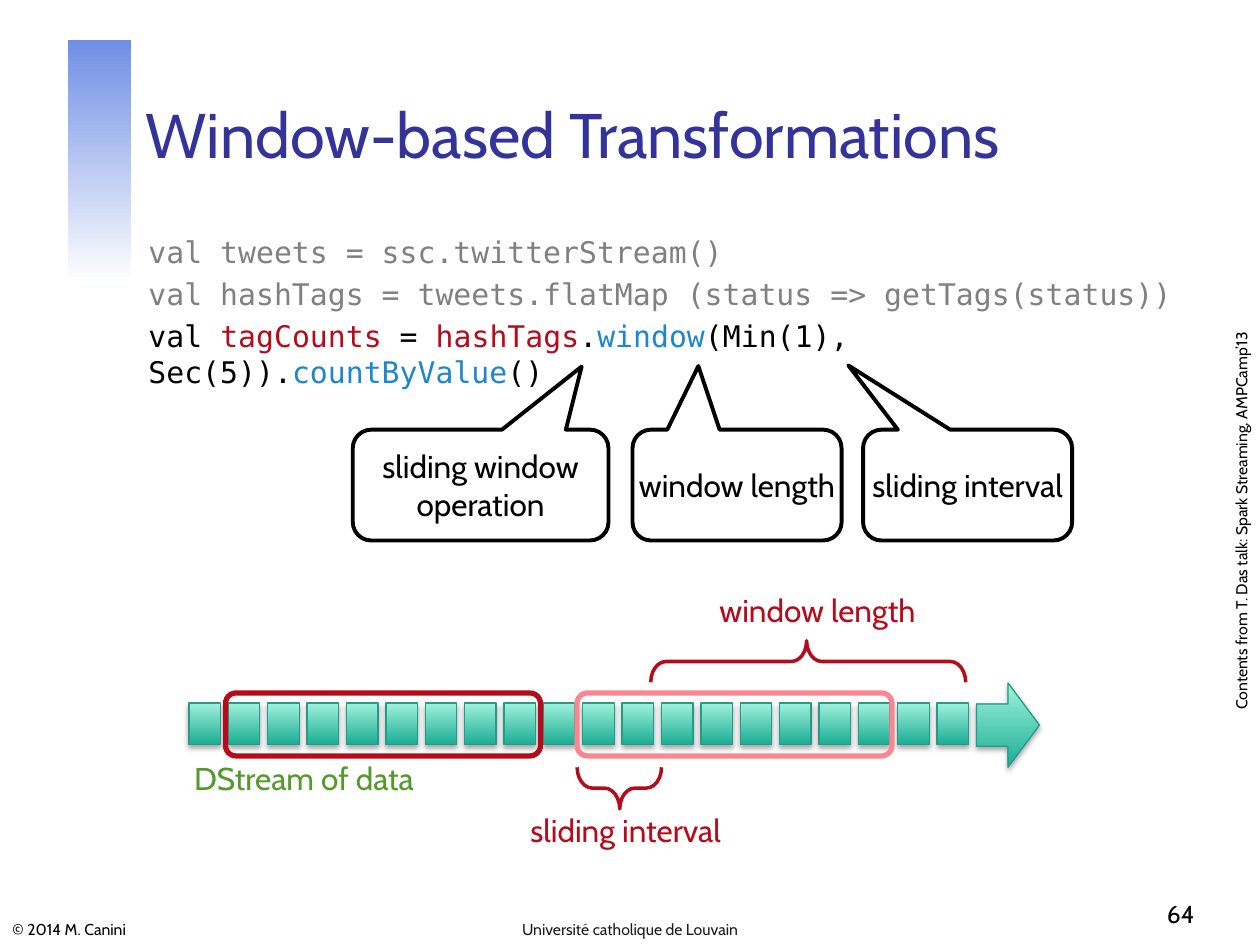
from lxml import etree
from pptx import Presentation
from pptx.dml.color import RGBColor
from pptx.enum.shapes import MSO_SHAPE as Kind
from pptx.enum.text import MSO_ANCHOR as Anchor, MSO_AUTO_SIZE as AutoSize, PP_ALIGN as Align
from pptx.oxml import parse_xml
from pptx.oxml.ns import qn
from pptx.util import Inches, Pt

color = RGBColor.from_string
BLACK, GRAY, RED, BLUE = "000000", "808080", "B50B1B", "1D86CD"
SHADOW = (
    '<a:outerShdw xmlns:a="http://schemas.openxmlformats.org/drawingml/2006/main" '
    'blurRad="39370" dist="22860" dir="5400000" rotWithShape="0">'
    '<a:srgbClr val="000000"><a:alpha val="35000"/></a:srgbClr></a:outerShdw>'
)


def draw(parent, kind, box, fill=None, line=None, width=1, adjust=(), rotation=0):
    shape = parent.add_shape(kind, *map(Inches, box))
    shape.shadow.inherit = False
    shape.rotation = rotation
    for i, value in enumerate(adjust):
        shape.adjustments[i] = value
    if isinstance(fill, tuple):
        start, end, angle = fill
        shape.fill.gradient()
        shape.fill.gradient_angle = angle
        for stop, position, shade in zip(shape.fill.gradient_stops, (0, 1), (start, end)):
            stop.position = position
            stop.color.rgb = color(shade)
    elif fill:
        shape.fill.solid()
        shape.fill.fore_color.rgb = color(fill)
    else:
        shape.fill.background()
    if line:
        shape.line.color.rgb = color(line)
        shape.line.width = Pt(width)
    else:
        shape.line.fill.background()
    return shape


def write(shape, lines, size, font="Cabin", align=Align.LEFT, anchor=Anchor.TOP,
          wrap=True, insets=(0.1, 0.05), before=0):
    frame = shape.text_frame
    frame.word_wrap = wrap
    frame.auto_size = AutoSize.NONE if wrap else AutoSize.SHAPE_TO_FIT_TEXT
    frame.vertical_anchor = anchor
    frame.margin_left = frame.margin_right = Inches(insets[0])
    frame.margin_top = frame.margin_bottom = Inches(insets[1])
    for i, pieces in enumerate(lines):
        paragraph = frame.add_paragraph() if i else frame.paragraphs[0]
        paragraph.alignment = align
        paragraph.space_before = Pt(before)
        for text, shade in pieces:
            run = paragraph.add_run()
            run.text = text
            run.font.size = Pt(size)
            run.font.name = font
            run.font.color.rgb = color(shade)


deck = Presentation()
deck.slide_width, deck.slide_height = Inches(10), Inches(7.5)
slide = deck.slides.add_slide(deck.slide_layouts[6])
shapes = slide.shapes

draw(shapes, Kind.RECTANGLE, (0.54, 0.32, 0.5, 1.93), ("708FE6", "FFFFFF", 270))

for text, box, size, shade, align in [
    ("© 2014 M. Canini", (0, 7.22, 3.02, 0.28), 9, BLACK, Align.LEFT),
    ("Window-based Transformations", (1.06, 0.33, 8.52, 1.08), 36, "333399", Align.LEFT),
    ("Université catholique de Louvain", (3.42, 7.22, 3.16, 0.28), 9, "1C1C1C", Align.CENTER),
    ("64", (7.5, 6.92, 2.08, 0.5), 14, BLACK, Align.RIGHT),
]:
    write(shapes.add_textbox(*map(Inches, box)), [[(text, shade)]], size,
          align=align, anchor=Anchor.BOTTOM)

code_lines = [
    [("val tweets = ssc.twitterStream()", GRAY)],
    [("val hashTags = tweets.flatMap (status => getTags(status))", GRAY)],
    [("val ", BLACK), ("tagCounts", RED), (" = ", BLACK), ("hashTags", RED), (".", BLACK),
     ("window", BLUE), ("(Min(1), Sec(5)).", BLACK), ("countByValue", BLUE), ("()", BLACK)],
]
code = shapes.add_textbox(Inches(1.08), Inches(1.81), Inches(8.5), Inches(4.96))
write(code, code_lines, 17, font="DejaVu Sans Mono", before=3.4)

stream = shapes.add_group_shape().shapes
batches = [(Kind.RIGHT_ARROW, (7.75, 5.42, 0.5, 0.67))]
batches += [(Kind.RECTANGLE, (1.5 + i * 0.3125, 5.58, 0.25, 0.33)) for i in range(20)]
for kind, box in batches:
    batch = draw(stream, kind, box, ("1BAD94", "A1F2DD", 90), "289B88", 0.75)
    batch.element.spPr.find(qn("a:effectLst")).append(parse_xml(SHADOW))
stream_label = stream.add_textbox(Inches(1.5), Inches(6), Inches(1.91), Inches(0.35))
write(stream_label, [[("DStream of data", "55992B")]], 18, wrap=False, insets=(0.04, 0.02))

for text, left, width, tip in [
    ("sliding window operation", 2.8, 2.03, (0.395, -1.069)),
    ("window length", 5.02, 1.66, (-0.185, -1.074)),
    ("sliding interval", 6.85, 1.66, (-0.57, -1.079)),
]:
    callout = draw(shapes, Kind.ROUNDED_RECTANGULAR_CALLOUT, (left, 3.41, width, 0.88),
                   "FFFFFF", BLACK, 2.25, (*tip, 0.167))
    write(callout, [[(text, BLACK)]], 18, align=Align.CENTER, anchor=Anchor.MIDDLE,
          insets=(0, 0.02))

draw(shapes, Kind.ROUNDED_RECTANGLE, (4.58, 5.5, 2.5, 0.5), None, "F88792", 3)

for text, label_box, brace_box, rotation in [
    ("window length", (5.67, 4.67, 1.71, 0.35), (6.25, 4, 0.33, 2.5), 270),
    ("sliding interval", (4.17, 6.42, 1.69, 0.35), (4.75, 5.92, 0.33, 0.67), 90),
]:
    measure = shapes.add_group_shape().shapes
    write(measure.add_textbox(*map(Inches, label_box)), [[(text, RED)]], 18,
          wrap=False, insets=(0.04, 0.02))
    draw(measure, Kind.RIGHT_BRACE, brace_box, None, RED, 2, (0.368, 0.495), rotation)

draw(shapes, Kind.ROUNDED_RECTANGLE, (1.79, 5.5, 2.5, 0.5), None, RED, 3)

credit = shapes.add_textbox(Inches(8.14), Inches(4.01), Inches(3.42), Inches(0.25))
credit.rotation = 270
write(credit, [[("Contents from T. Das talk: Spark Streaming, AMPCamp’13", BLACK)]], 9,
      align=Align.CENTER, wrap=False, before=1.8)

deck.save("out.pptx")
